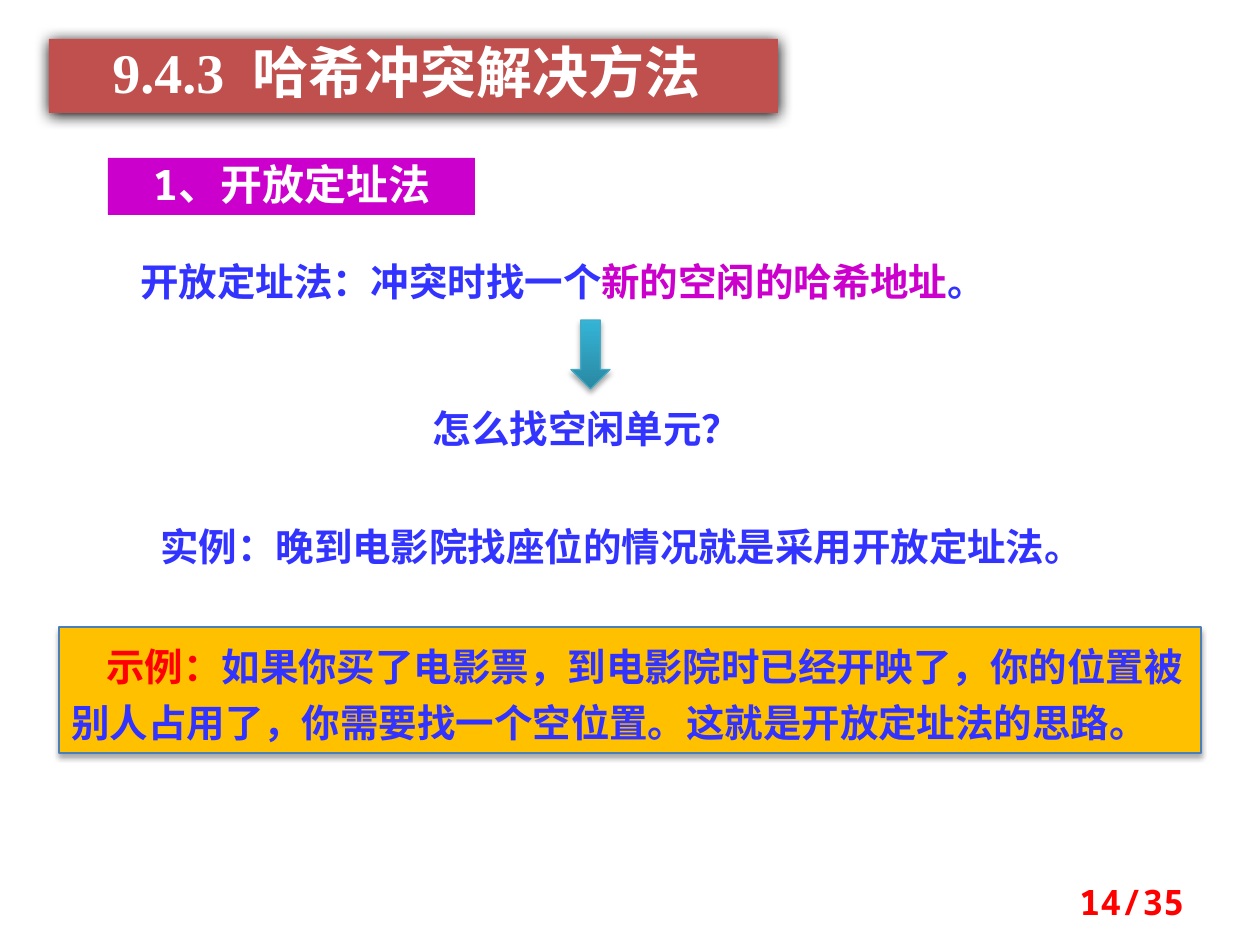
from dataclasses import dataclass

from lxml.etree import SubElement
from pptx import Presentation
from pptx.dml.color import RGBColor
from pptx.enum.lang import MSO_LANGUAGE_ID as Lang
from pptx.enum.shapes import MSO_SHAPE as Shape
from pptx.enum.text import MSO_ANCHOR as Anchor, PP_ALIGN as Align
from pptx.oxml.ns import qn
from pptx.util import Emu, Pt

PIXEL = 914400 / 126


@dataclass(frozen=True)
class Theme:
    """Colours, fonts and type sizes of the slide."""
    white: str = "FFFFFF"
    blue: str = "3333FF"
    magenta: str = "CC00CC"
    red: str = "FF0000"
    brick: str = "C0504D"
    amber: str = "FFC000"
    amber_line: str = "4B7EBC"
    arrow_line: str = "46AAC5"
    arrow_stops: tuple = (("2A88A2", 0), ("34B4D6", 1))
    mono: str = "Noto Sans Mono"
    serif: str = "Times New Roman"
    title: int = 32
    label: int = 24
    body: int = 22
    page: int = 20


THEME = Theme()
SOFT_SHADOW = (35, 3.1, 1.8)
TITLE_SHADOW = (100, 8.5, 1)


def px(value):
    """Turn pixels into EMU."""
    return Emu(round(value * PIXEL))


def set_format(target, values):
    """Set each attribute named in a dict."""
    for name, value in values.items():
        setattr(target, name, value)


def add_shadow(shape, opacity, blur, distance):
    """Cast a black shadow straight down."""
    shadow = SubElement(shape._element.spPr.find(qn("a:effectLst")),
                        qn("a:outerShdw"), blurRad=str(Pt(blur)),
                        dist=str(Pt(distance)), dir="5400000", rotWithShape="0")
    colour = SubElement(shadow, qn("a:srgbClr"), val="000000")
    SubElement(colour, qn("a:alpha"), val=str(opacity * 1000))


def add_panel(page, place, fill=None, line=None, shadow=None, kind=Shape.RECTANGLE):
    """Add a preset shape with an optional fill, outline and shadow."""
    panel = page.shapes.add_shape(kind, *map(px, place))
    panel.shadow.inherit = False
    if fill:
        panel.fill.solid()
        panel.fill.fore_color.rgb = RGBColor.from_string(fill)
    if line:
        panel.line.color.rgb = RGBColor.from_string(line)
        panel.line.width = Pt(0.75)
    else:
        panel.line.fill.background()
    if shadow:
        add_shadow(panel, *shadow)
    return panel


def add_arrow(page, place):
    """Add the shaded arrow that points down."""
    arrow = add_panel(page, place, line=THEME.arrow_line,
                      shadow=SOFT_SHADOW, kind=Shape.DOWN_ARROW)
    arrow.fill.gradient()
    arrow.fill.gradient_angle = 90
    for stop, (colour, position) in zip(arrow.fill.gradient_stops, THEME.arrow_stops):
        set_format(stop, {"position": position})
        stop.color.rgb = RGBColor.from_string(colour)


def write(box, spans, size=THEME.body, font=THEME.mono, frame=None, indent=0, **layout):
    """Write one paragraph of (text, colour) spans into a box."""
    set_format(box.text_frame,
               {"word_wrap": True, "vertical_anchor": Anchor.TOP, **(frame or {})})
    para = box.text_frame.paragraphs[0]
    set_format(para, {"alignment": Align.LEFT, **layout})
    if indent:
        para._p.get_or_add_pPr().set("indent", str(px(indent)))
    for text, colour in spans:
        span = para.add_run()
        span.text = text
        set_format(span.font, {"name": font, "size": Pt(size), "bold": True,
                               "language_id": Lang.SIMPLIFIED_CHINESE})
        span.font.color.rgb = RGBColor.from_string(colour)


def add_text(page, place, spans, **options):
    """Add a text box with one paragraph."""
    write(page.shapes.add_textbox(*map(px, place)), spans, **options)


def main():
    """Build the slide and save it."""
    deck = Presentation()
    set_format(deck, {"slide_width": px(1260), "slide_height": px(945)})
    page = deck.slides.add_slide(deck.slide_layouts[6])

    add_text(page, (128, 229, 1018, 74),
             [("开放定址法：冲突时找一个", THEME.blue),
              ("新的空闲的哈希地址", THEME.magenta), ("。", THEME.blue)],
             line_spacing=1.5)
    label = add_panel(page, (108, 158, 367, 57), THEME.magenta)
    write(label, [("1、开放定址法", THEME.white)], size=THEME.label,
          alignment=Align.CENTER, line_spacing=0.9)
    add_text(page, (375, 399, 423, 59), [("怎么找空闲单元？", THEME.blue)],
             alignment=Align.CENTER)
    add_arrow(page, (571, 320, 39, 69))
    add_text(page, (148, 517, 1004, 59),
             [("实例：晚到电影院找座位的情况就是采用开放定址法。", THEME.blue)])

    example = add_panel(page, (59, 627, 1142, 126), THEME.amber,
                        THEME.amber_line, SOFT_SHADOW)
    write(example, [
        ("示例：", THEME.red),
        ("如果你买了电影票，到电影院时已经开映了，你的位置被别人占用了，"
         "你需要找一个空位置。这就是开放定址法的思路。", THEME.blue),
    ], indent=35, line_spacing=Pt(32))

    title = add_panel(page, (49, 39, 729, 74), THEME.brick, shadow=TITLE_SHADOW)
    write(title, [("9.4.3  哈希冲突解决方法", THEME.white)], size=THEME.title,
          font=THEME.serif, frame={"margin_right": px(26)},
          alignment=Align.CENTER, line_spacing=0.9)
    add_text(page, (903, 877, 294, 50), [("14/35", THEME.red)], size=THEME.page,
             frame={"vertical_anchor": Anchor.MIDDLE}, alignment=Align.RIGHT)
    deck.save("out.pptx")


main()
